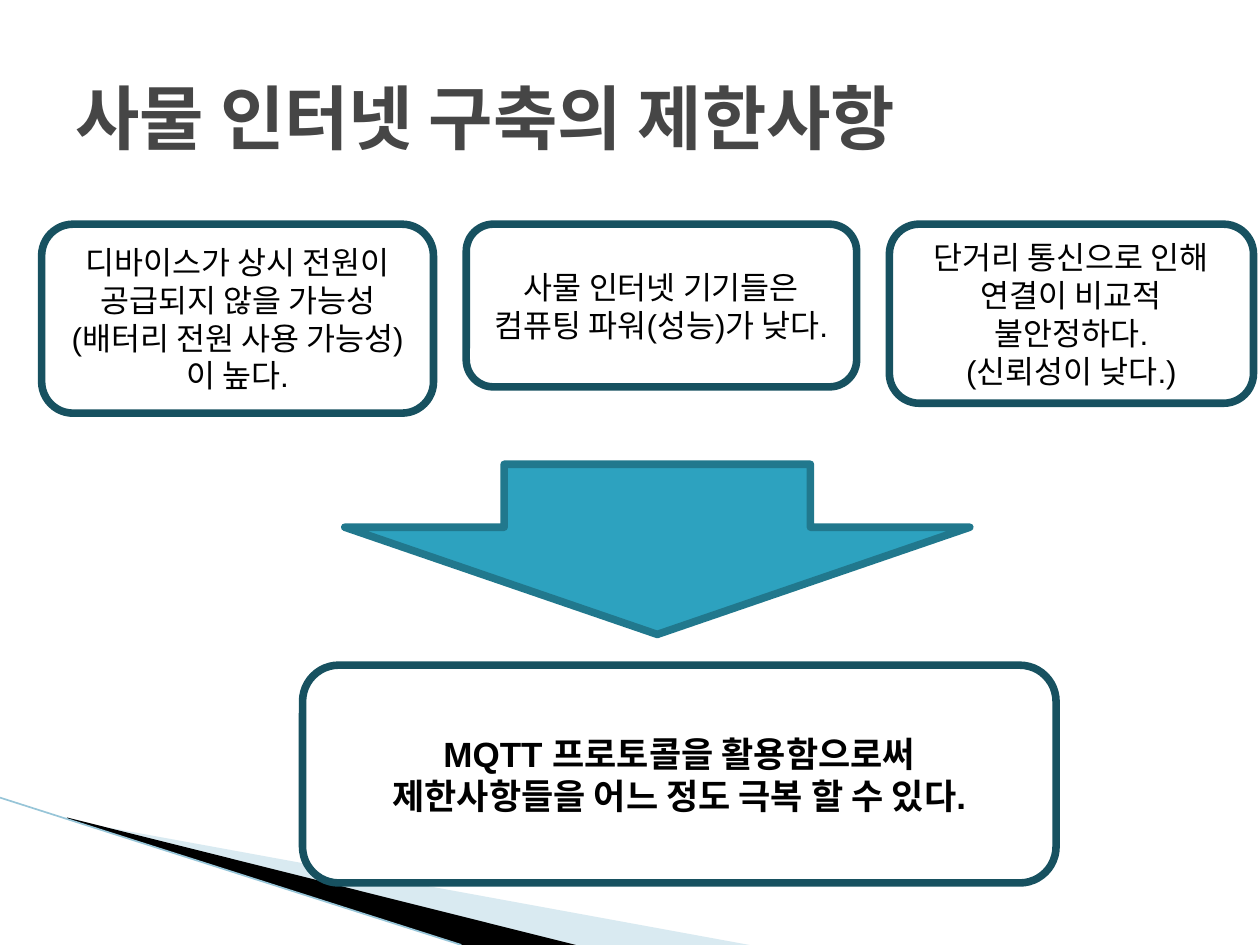
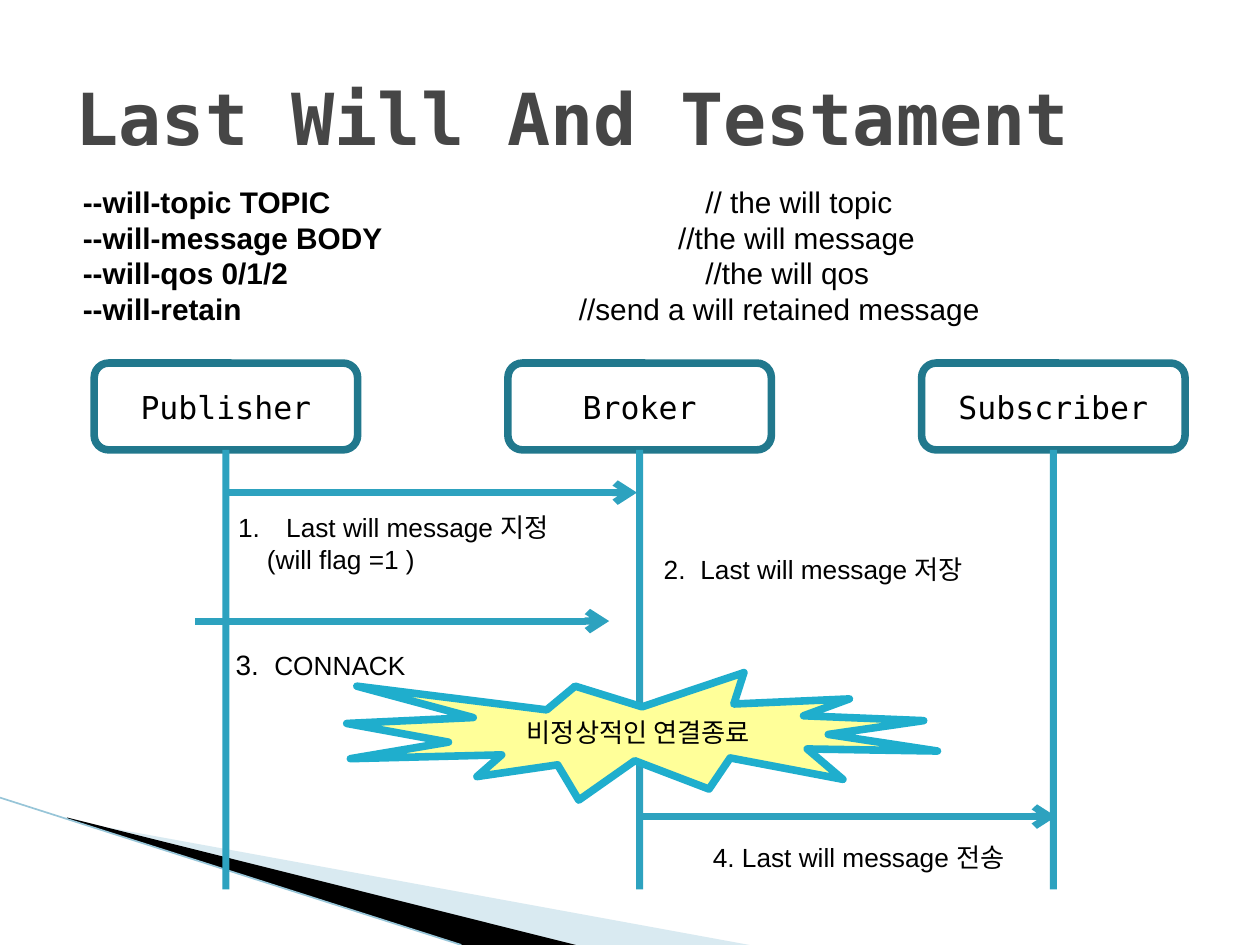
from typing import NamedTuple

from lxml.etree import SubElement
from pptx import Presentation
from pptx.dml.color import RGBColor
from pptx.enum.shapes import MSO_CONNECTOR as Link, MSO_SHAPE as Preset
from pptx.enum.text import MSO_ANCHOR as Anchor, MSO_AUTO_SIZE as AutoSize, PP_ALIGN as Align
from pptx.oxml.ns import qn
from pptx.util import Cm, Pt

WHITE = RGBColor(0xFF, 0xFF, 0xFF)
BLACK = RGBColor(0x00, 0x00, 0x00)
TITLE_GREY = RGBColor(0x46, 0x46, 0x46)
DEEP_TEAL = RGBColor(0x17, 0x51, 0x60)
MID_TEAL = RGBColor(0x21, 0x78, 0x8D)
TEAL = RGBColor(0x2D, 0xA2, 0xBF)
BURST_TEAL = RGBColor(0x1F, 0xAE, 0xCD)
BURST_YELLOW = RGBColor(0xFF, 0xFF, 0x99)
PALE_BLUE = RGBColor(0xA0, 0xCB, 0xDC)
EDGE_BLUE = RGBColor(0x97, 0xC5, 0xD8)
SANS = "Arial"
MONO = "DejaVu Sans Mono"
OUTLINE = 4.33


class Box(NamedTuple):
    """A rectangle in centimetres."""
    left: float
    top: float
    width: float
    height: float

    def inner(self, left, top, width, height):
        """Return a box placed relative to this one."""
        return Box(self.left + left, self.top + top, width, height)

    def lengths(self):
        """Return the four sides as slide lengths."""
        return [Cm(side) for side in self]


TITLE_BOX = Box(1.27, 0.76, 22.86, 3.18)
CORNER_BOX = Box(0, 16.08, 15.11, 2.97)


def style_font(font, size, name=SANS, color=BLACK, bold=False):
    """Set the look of a run or paragraph font."""
    for key, value in {"size": Pt(size), "name": name, "bold": bold}.items():
        setattr(font, key, value)
    font.color.rgb = color


def add_panel(slide, preset, box, fill, edge, lines=(), size=18, name=SANS, bold=False):
    """Add an outlined preset shape with centred lines of text."""
    panel = slide.shapes.add_shape(preset, *box.lengths())
    panel.shadow.inherit = False
    panel.fill.solid()
    panel.fill.fore_color.rgb = fill
    panel.line.color.rgb = edge
    panel.line.width = Pt(OUTLINE)
    frame = panel.text_frame
    frame.vertical_anchor = Anchor.MIDDLE
    for index, line in enumerate(lines):
        paragraph = frame.add_paragraph() if index else frame.paragraphs[0]
        paragraph.alignment = Align.CENTER
        run = paragraph.add_run()
        run.text = line
        style_font(run.font, size, name, bold=bold)
    return panel


def add_line(slide, start, end, color=TEAL, width=4, arrow=False):
    """Draw a straight line between two points in centimetres."""
    line = slide.shapes.add_connector(Link.STRAIGHT, *[Cm(value) for value in (*start, *end)])
    line.line.color.rgb = color
    line.line.width = Pt(width)
    properties = line._element.spPr
    if arrow:
        SubElement(properties.find(qn("a:ln")), qn("a:tailEnd"), type="arrow")
    SubElement(properties, qn("a:effectLst"))
    return line


def add_wedge(slide, box, points, color, opacity=100):
    """Fill a polygon whose points are relative to the box."""
    corners = [(Cm(box.left + x), Cm(box.top + y)) for x, y in points]
    builder = slide.shapes.build_freeform(*corners[0], scale=1.0)
    builder.add_line_segments(corners[1:], close=True)
    wedge = builder.convert_to_shape()
    wedge.shadow.inherit = False
    wedge.fill.solid()
    wedge.fill.fore_color.rgb = color
    wedge.line.fill.background()
    tint = wedge._element.spPr.find(qn("a:solidFill"))[0]
    SubElement(tint, qn("a:alpha"), val=str(opacity * 1000))


def add_corner(slide, box):
    """Draw the swoosh in the lower left corner."""
    add_wedge(slide, box, [(1.4, 0.46), (15.11, 2.97), (11.58, 2.97), (1.4, 0.43)], PALE_BLUE, 40)
    add_wedge(slide, box, [(1.35, 0.4), (11.61, 2.97), (9.3, 2.97), (1.37, 0.43)], BLACK)
    add_line(slide, (box.left, box.top), (box.left + 9.3, box.top + box.height), EDGE_BLUE, 0.95)


def add_titled_slide(deck, heading, size, name):
    """Start a slide with the shared title style and corner."""
    slide = deck.slides.add_slide(deck.slide_layouts[5])
    title = slide.shapes.title
    title.left, title.top, title.width, title.height = TITLE_BOX.lengths()
    frame = title.text_frame
    frame.text = heading
    for key, value in {"vertical_anchor": Anchor.MIDDLE, "word_wrap": True,
                       "auto_size": AutoSize.NONE}.items():
        setattr(frame, key, value)
    frame.paragraphs[0].alignment = Align.LEFT
    style_font(frame.paragraphs[0].runs[0].font, size, name, TITLE_GREY, True)
    add_corner(slide, CORNER_BOX)
    return slide


def add_limits(slide, box):
    """Set the three limits side by side with equal gaps."""
    limits = [
        (7.9, 3.81, ["디바이스가 상시 전원이 공급되지 않을 가능성", "(배터리 전원 사용 가능성) 이 높다."]),
        (7.87, 3.28, ["사물 인터넷 기기들은 컴퓨팅 파워(성능)가 낮다."]),
        (7.34, 3.61, ["단거리 통신으로 인해 연결이 비교적 불안정하다.", "(신뢰성이 낮다.)"]),
    ]
    gap = (box.width - sum(width for width, _, _ in limits)) / (len(limits) - 1)
    left = 0
    for width, height, lines in limits:
        add_panel(slide, Preset.ROUNDED_RECTANGLE, box.inner(left, 0, width, height),
                  WHITE, DEEP_TEAL, lines)
        left += width + gap


def add_down_arrow(slide, box):
    """Turn a right arrow downwards so that it fills the box."""
    shift = (box.width - box.height) / 2
    arrow = add_panel(slide, Preset.RIGHT_ARROW,
                      box.inner(shift, -shift, box.height, box.width), TEAL, MID_TEAL)
    arrow.rotation = 90
    arrow.adjustments[0], arrow.adjustments[1] = 0.49, 0.63


def add_options(slide, box):
    """List the will options with their remarks at tab stops."""
    options = [
        ("--will-topic TOPIC", "// the will topic", 12.55),
        ("--will-message BODY", "//the will message", 12),
        ("--will-qos 0/1/2", "//the will qos", 12.55),
        ("--will-retain", "//send a will retained message", 10),
    ]
    frame = slide.shapes.add_textbox(*box.lengths()).text_frame
    frame.word_wrap = True
    frame.margin_left = Cm(0.58)
    for index, (option, remark, stop) in enumerate(options):
        paragraph = frame.add_paragraph() if index else frame.paragraphs[0]
        stops = SubElement(paragraph._p.get_or_add_pPr(), qn("a:tabLst"))
        SubElement(stops, qn("a:tab"), pos=str(Cm(stop)), algn="l")
        for text, bold in ((option, True), ("\t" + remark, False)):
            run = paragraph.add_run()
            run.text = text
            style_font(run.font, 17, bold=bold)


def add_note(slide, box, lines):
    """Write a step note; each line has its runs, margin, indent and numbering."""
    frame = slide.shapes.add_textbox(*box.lengths()).text_frame
    frame.word_wrap = True
    for index, (runs, margin, indent, numbered) in enumerate(lines):
        paragraph = frame.add_paragraph() if index else frame.paragraphs[0]
        layout = paragraph._p.get_or_add_pPr()
        layout.set("marL", str(Cm(margin)))
        layout.set("indent", str(Cm(indent)))
        if numbered:
            SubElement(layout, qn("a:buFont"), typeface=SANS)
            SubElement(layout, qn("a:buAutoNum"), type="arabicPeriod")
        for text, size in runs:
            run = paragraph.add_run()
            run.text = text
            style_font(run.font, size)


def add_sequence(slide, box):
    """Draw the message sequence between the three parties."""
    party_width, party_height = 5.31, 1.75
    pitch = (box.width - party_width) / 2
    for index, party in enumerate(["Publisher", "Broker", "Subscriber"]):
        spot = box.inner(index * pitch, 0, party_width, party_height)
        head = add_panel(slide, Preset.ROUNDED_RECTANGLE, spot, WHITE, MID_TEAL, [party], name=MONO)
        middle = spot.left + party_width / 2
        lifeline = add_line(slide, (middle, spot.top + party_height),
                            (middle, box.top + box.height))
        lifeline.begin_connect(head, 2)

    for left, top in [(2.6, 2.61), (2.04, 5.2), (11.05, 9.14)]:
        start = box.left + left, box.top + top
        add_line(slide, start, (start[0] + pitch, start[1]), arrow=True)

    add_panel(slide, Preset.EXPLOSION1, box.inner(5.09, 6.24, 11.91, 2.57),
              BURST_YELLOW, BURST_TEAL, ["비정상적인 연결종료"], 15)

    notes = [
        (2.65, 2.87, 1.55, [([("Last will message 지정", 15)], 0.97, -0.97, True),
                            ([("(will flag =1 )", 15)], 0.58, 0, False)]),
        (11.23, 3.7, 0.89, [([("2.\tLast will message 저장", 15)], 0.74, -0.74, False)]),
        (2.6, 5.61, 0.94, [([("3.\t", 16), ("CONNACK", 15)], 0.78, -0.78, False)]),
        (12.22, 9.52, 0.89, [([("4. Last will message 전송", 15)], 0, 0, False)]),
    ]
    for left, top, height, lines in notes:
        add_note(slide, box.inner(left, top, 9.17, height), lines)


def build_limits_slide(deck):
    """Build the slide on the limits of the internet of things."""
    slide = add_titled_slide(deck, "사물 인터넷 구축의 제한사항", 40, SANS)
    add_limits(slide, Box(0.84, 4.52, 24.43, 3.81))
    add_down_arrow(slide, Box(6.95, 9.36, 12.6, 3.43))
    add_panel(slide, Preset.ROUNDED_RECTANGLE, Box(6.1, 13.41, 15.19, 4.39), WHITE, DEEP_TEAL,
              ["MQTT 프로토콜을 활용함으로써", "제한사항들을 어느 정도 극복 할 수 있다."], 20, bold=True)


def build_will_slide(deck):
    """Build the slide on the last will message."""
    slide = add_titled_slide(deck, "Last Will And Testament", 41, MONO)
    add_options(slide, Box(1.09, 3.58, 24, 3.18))
    add_sequence(slide, Box(1.9, 7.32, 21.99, 10.61))


def main():
    """Build and save the deck."""
    deck = Presentation()
    deck.slide_width, deck.slide_height = Cm(25.4), Cm(19.05)
    build_limits_slide(deck)
    build_will_slide(deck)
    deck.save("out.pptx")


if __name__ == "__main__":
    main()
